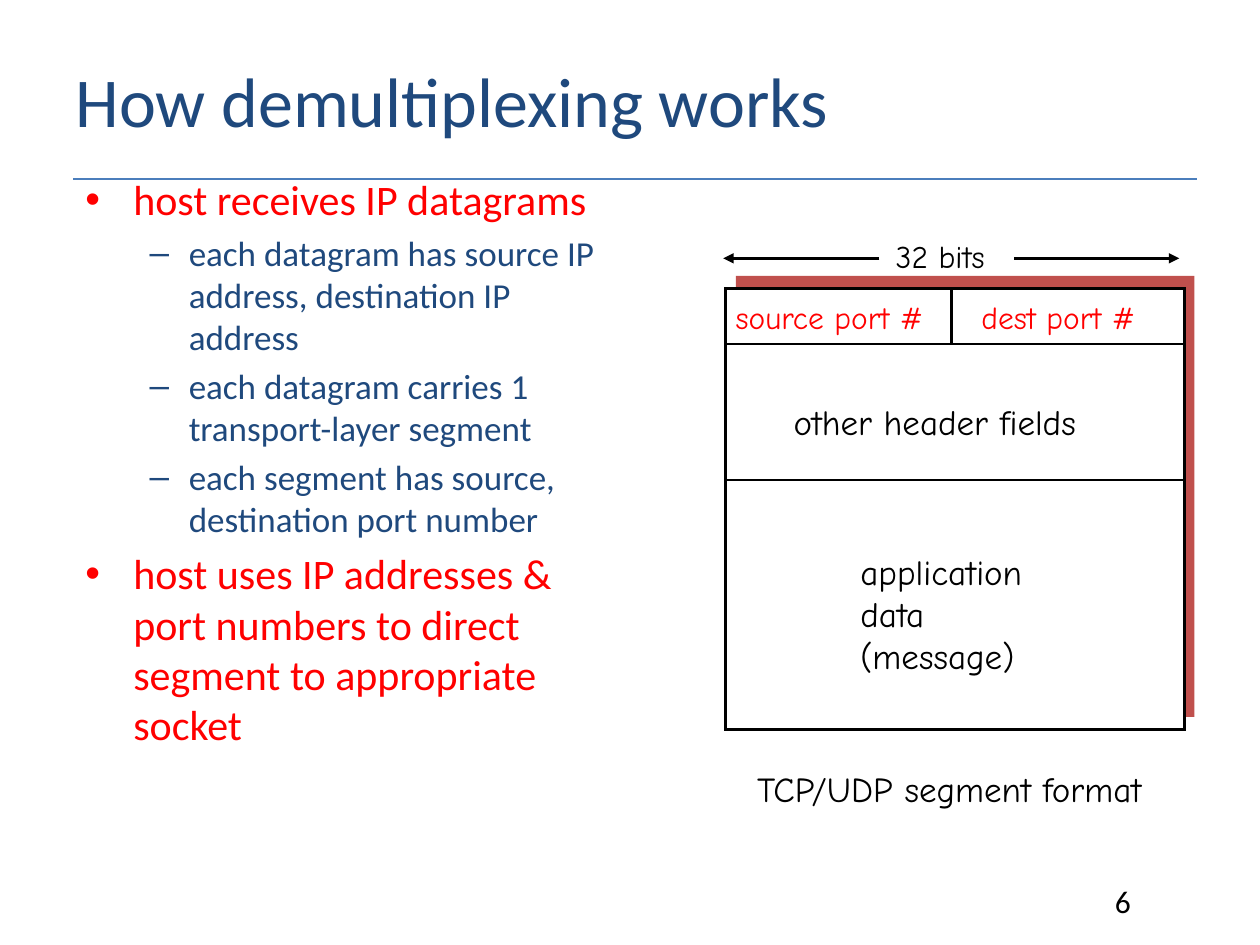
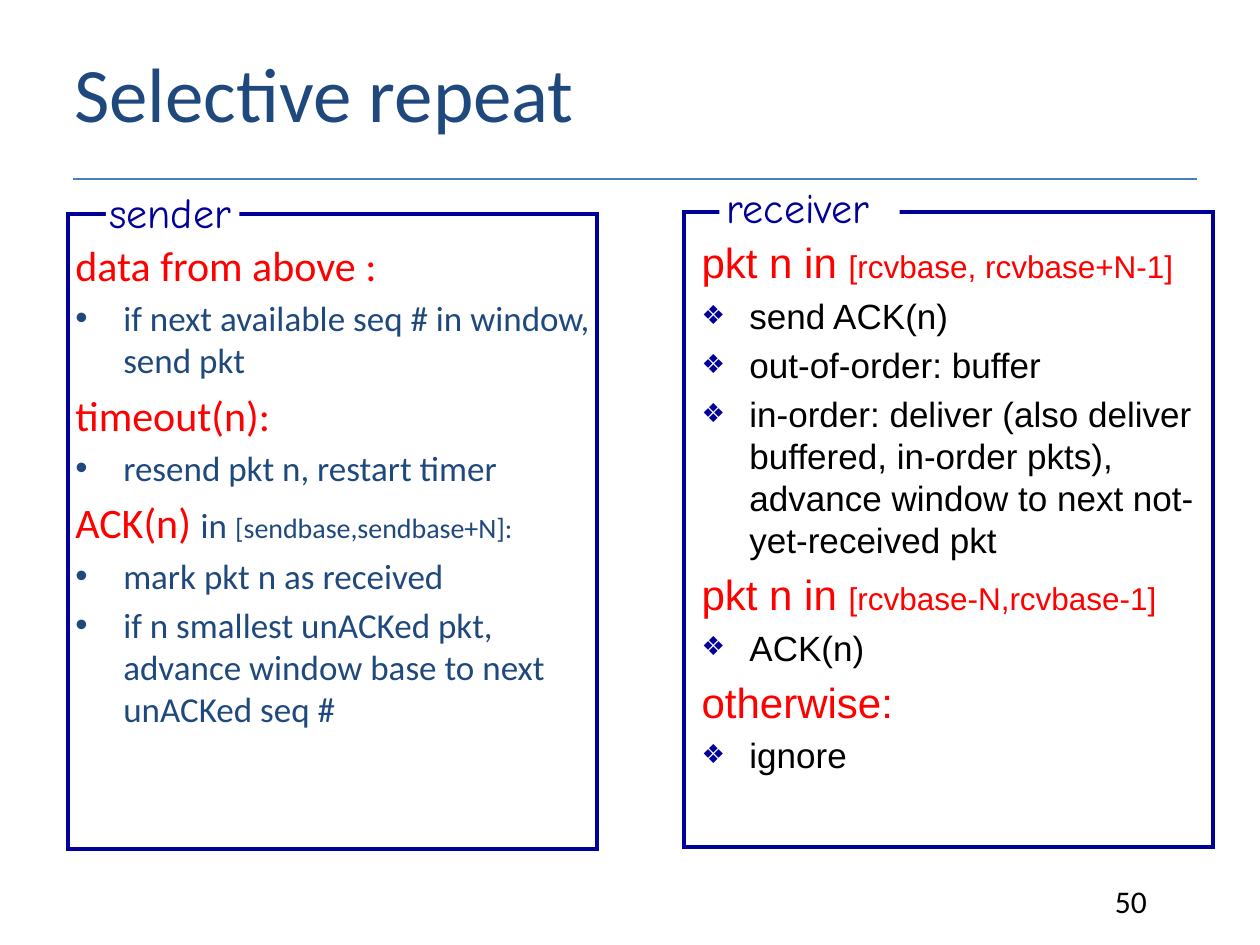
from dataclasses import dataclass
from typing import NamedTuple

from lxml import etree
from pptx import Presentation
from pptx import util as u
from pptx.dml.color import RGBColor
from pptx.enum import shapes, text
from pptx.oxml import ns

PX = 9144  # EMU per px, 100 px to the inch


@dataclass(frozen=True)
class Theme:
    # colours
    navy: str = "1F497D"
    red: str = "FF0000"
    black: str = "000000"
    white: str = "FFFFFF"
    rule: str = "4B7EBC"
    backing: str = "C0504D"
    frame: str = "000099"
    # fonts
    body: str = "Calibri"
    plain: str = "Arial"
    label: str = "Comic Neue"
    # type sizes
    lead: int = 24
    item: int = 20
    small: int = 18
    tiny: int = 16
    # line widths
    thin: float = 0.75
    medium: float = 1.5
    thick: float = 2.25


T = Theme()


class Box(NamedTuple):
    x: int
    y: int
    w: int
    h: int

    def inner(self, x, y, w, h):
        return Box(self.x + x, self.y + y, w, h)

    def emu(self):
        return [u.Emu(side * PX) for side in self]


class Bullet(NamedTuple):
    mark: str = ""
    margin: int = 38
    hang: int = 38
    colour: str = ""
    percent: int = 100


HEAD = Bullet()
DOT = Bullet("•")
DASH = Bullet("–", 82, 31)
DIAMOND = Bullet("❖", colour=T.frame, percent=75)


# ---- shared parts ----

def add_run(paragraph, words, size, colour, font):
    run = paragraph.add_run()
    run.text = words
    run.font.size = u.Pt(size)
    run.font.name = font
    run.font.color.rgb = RGBColor.from_string(colour)


def add_label(slide, box, lines, size, colour=T.black, font=T.label, wrap=False):
    frame = slide.shapes.add_textbox(*box.emu()).text_frame
    frame.word_wrap = wrap
    for i, line in enumerate(lines):
        paragraph = frame.add_paragraph() if i else frame.paragraphs[0]
        add_run(paragraph, line, size, colour, font)


def set_bullet(paragraph, bullet):
    props = paragraph._p.get_or_add_pPr()
    props.set("marL", str(bullet.margin * PX))
    props.set("indent", str(-bullet.hang * PX))
    if not bullet.mark:
        return
    if bullet.colour:
        colour = etree.SubElement(props, ns.qn("a:buClr"))
        etree.SubElement(colour, ns.qn("a:srgbClr"), val=bullet.colour)
    etree.SubElement(props, ns.qn("a:buSzPct"), val=str(bullet.percent * 1000))
    etree.SubElement(props, ns.qn("a:buFont"), typeface=T.plain)
    etree.SubElement(props, ns.qn("a:buChar"), char=bullet.mark)


def add_outline(slide, box, points, font):
    """Each point is a bullet followed by its (words, size, colour) runs."""
    frame = slide.shapes.add_textbox(*box.emu()).text_frame
    frame.word_wrap = True
    for i, (bullet, *runs) in enumerate(points):
        paragraph = frame.add_paragraph() if i else frame.paragraphs[0]
        paragraph.space_before = u.Pt(max(size for _, size, _ in runs) * 0.2)
        set_bullet(paragraph, bullet)
        for words, size, colour in runs:
            add_run(paragraph, words, size, colour, font)


def add_rect(slide, box, fill=None, line=None, width=T.medium):
    rect = slide.shapes.add_shape(shapes.MSO_SHAPE.RECTANGLE, *box.emu())
    rect.shadow.inherit = False
    if fill:
        rect.fill.solid()
        rect.fill.fore_color.rgb = RGBColor.from_string(fill)
    else:
        rect.fill.background()
    if line:
        rect.line.color.rgb = RGBColor.from_string(line)
        rect.line.width = u.Pt(width)
        etree.SubElement(rect.line._get_or_add_ln(), ns.qn("a:miter"), lim="800000")
    else:
        rect.line.fill.background()


def add_line(slide, start, end, colour=T.black, width=T.medium, arrow=False):
    ends = [u.Emu(side * PX) for side in (*start, *end)]
    line = slide.shapes.add_connector(shapes.MSO_CONNECTOR.STRAIGHT, *ends)
    line.line.color.rgb = RGBColor.from_string(colour)
    line.line.width = u.Pt(width)
    if arrow:
        etree.SubElement(line.line._get_or_add_ln(), ns.qn("a:tailEnd"), type="triangle")
    etree.SubElement(line._element.spPr, ns.qn("a:effectLst"))


def start_slide(deck, heading, heading_box, size, number):
    slide = deck.slides.add_slide(deck.slide_layouts[5])
    add_line(slide, (58, 142), (950, 142), T.rule, T.thin)
    title = slide.shapes.title
    title.left, title.top, title.width, title.height = heading_box.emu()
    frame = title.text_frame
    frame.word_wrap = True
    frame.auto_size = text.MSO_AUTO_SIZE.NONE
    frame.vertical_anchor = text.MSO_ANCHOR.MIDDLE
    frame.paragraphs[0].alignment = text.PP_ALIGN.LEFT
    add_run(frame.paragraphs[0], heading, size, T.navy, T.body)
    add_label(slide, Box(875, 695, 75, 40), [number], T.small, font=T.body, wrap=True)
    return slide


# ---- demultiplexing ----

def add_segment(slide, box):
    # header and data area on its offset backing
    add_rect(slide, box.inner(8, -10, box.w, box.h), T.backing)
    add_rect(slide, box, T.white, T.black)
    right, ports_end, header_end, port_split = box.x + box.w, box.y + 44, box.y + 152, box.x + 179
    for y in (ports_end, header_end):
        add_line(slide, (box.x, y), (right, y))
    add_line(slide, (port_split, ports_end), (port_split, box.y))

    # field names
    add_label(slide, box.inner(-2, 3, 183, 40), ["source port #"], T.small, T.red)
    add_label(slide, box.inner(193, 3, 159, 40), ["dest port #"], T.small, T.red)
    add_label(slide, box.inner(44, 84, 274, 43), ["other header fields"], T.item)
    add_label(slide, box.inner(97, 203, 158, 110), ["application", "data", "(message)"], T.item)
    add_label(slide, box.inner(15, 375, 355, 43), ["TCP/UDP segment format"], T.item)

    # width marker
    marker_y = box.y - 24
    add_label(slide, box.inner(125, -46, 104, 40), ["32 bits"], T.small)
    add_line(slide, (box.x + 122, marker_y), (box.x - 2, marker_y), arrow=True)
    add_line(slide, (box.x + 229, marker_y), (box.x + 360, marker_y), arrow=True)


def demultiplexing_slide(deck):
    slide = start_slide(deck, "How demultiplexing works", Box(50, 25, 900, 108), 40, "6")

    def lead(words):
        return DOT, (words, T.lead, T.red)

    def detail(words):
        return DASH, (words, T.item, T.navy)

    add_outline(slide, Box(58, 133, 446, 305), [
        lead("host receives IP datagrams"),
        detail("each datagram has source IP address, destination IP address"),
        detail("each datagram carries 1 transport-layer segment"),
        detail("each segment has source, destination port number"),
        lead("host uses IP addresses & port numbers to direct segment to appropriate socket"),
    ], T.body)
    add_segment(slide, Box(576, 229, 364, 350))


# ---- selective repeat ----

def add_role(slide, box, role, gap, label, outline, points, font):
    """Frame with its role name set in a gap of the top edge."""
    add_outline(slide, box.inner(*outline), points, font)
    add_rect(slide, box, line=T.frame, width=T.thick)
    add_rect(slide, box.inner(*gap), T.white)
    add_label(slide, box.inner(*label), [role], T.lead, T.frame)


def selective_repeat_slide(deck):
    slide = start_slide(deck, "Selective repeat", Box(49, 27, 850, 92), 44, "50")

    def event(words, *more):
        return HEAD, (words, T.lead, T.red), *more

    def sender_step(words):
        return DOT, (words, T.item, T.navy)

    def receiver_step(words):
        return DIAMOND, (words, T.item, T.black)

    add_role(slide, Box(54, 170, 420, 504), "sender",
             (30, -18, 106, 31), (23, -27, 126, 50), (-4, 15, 442, 495), [
                 event("data from above :"),
                 sender_step("if next available seq # in window, send pkt"),
                 event("timeout(n):"),
                 sender_step("resend pkt n, restart timer"),
                 event("ACK(n) ", ("in ", T.item, T.navy),
                       ("[sendbase,sendbase+N]:", T.tiny, T.navy)),
                 sender_step("mark pkt n as received"),
                 sender_step("if n smallest unACKed pkt, advance window base "
                             "to next unACKed seq #"),
             ], T.body)
    add_role(slide, Box(543, 168, 420, 504), "receiver",
             (28, -16, 143, 31), (24, -29, 149, 50), (4, 15, 417, 508), [
                 event("pkt n in ", ("[rcvbase, rcvbase+N-1]", T.small, T.red)),
                 receiver_step("send ACK(n)"),
                 receiver_step("out-of-order: buffer"),
                 receiver_step("in-order: deliver (also deliver buffered, in-order pkts), "
                               "advance window to next not-yet-received pkt"),
                 event("pkt n in ", ("[rcvbase-N,rcvbase-1]", T.small, T.red)),
                 receiver_step("ACK(n)"),
                 event("otherwise:"),
                 receiver_step("ignore"),
             ], T.plain)


def main():
    deck = Presentation()
    deck.slide_width, deck.slide_height = u.Emu(1000 * PX), u.Emu(750 * PX)
    demultiplexing_slide(deck)
    selective_repeat_slide(deck)
    deck.save("out.pptx")


if __name__ == "__main__":
    main()
